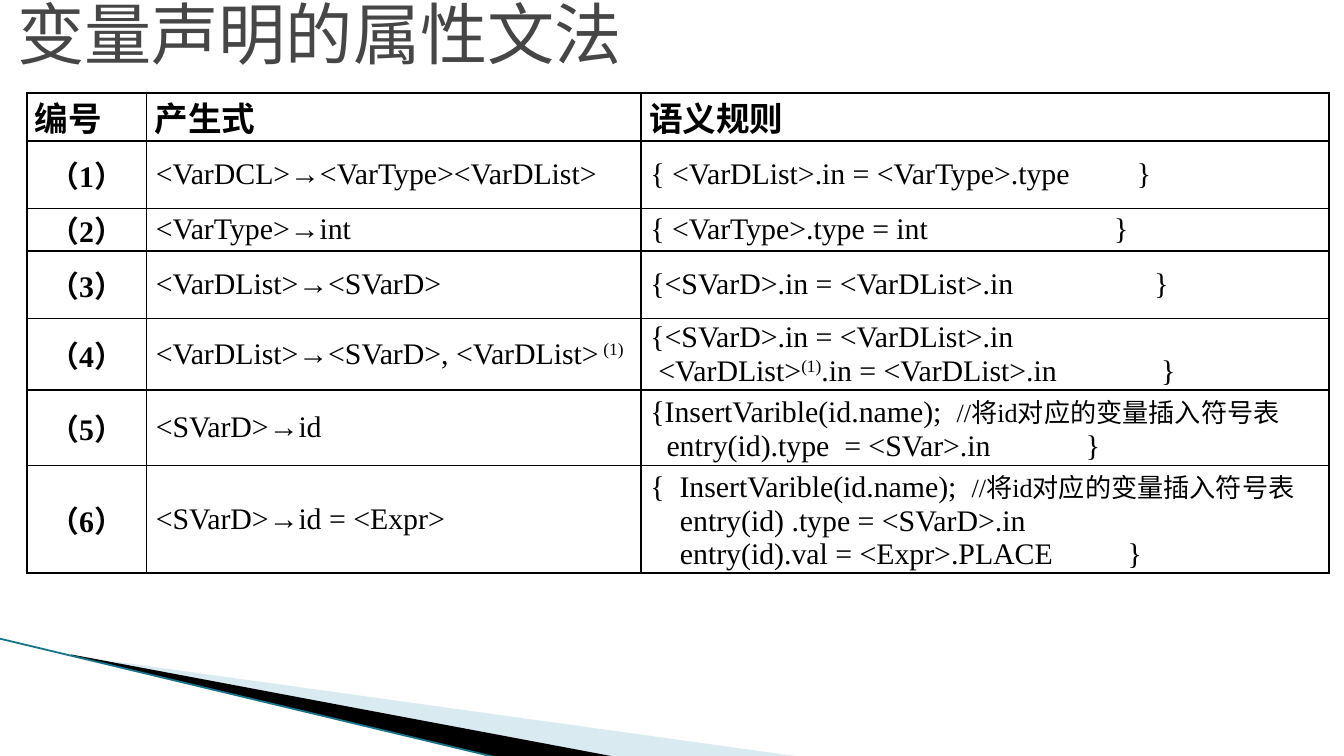
from dataclasses import dataclass

from lxml import etree
from pptx import Presentation
from pptx.dml.color import RGBColor
from pptx.enum.shapes import MSO_CONNECTOR
from pptx.enum.text import MSO_ANCHOR, PP_ALIGN
from pptx.oxml.ns import qn
from pptx.util import Inches, Pt

STRAIGHT = MSO_CONNECTOR.STRAIGHT
TOP, MIDDLE = MSO_ANCHOR.TOP, MSO_ANCHOR.MIDDLE
CENTER, JUSTIFY = PP_ALIGN.CENTER, PP_ALIGN.JUSTIFY


@dataclass(frozen=True)
class Theme:
    title_color: str = "464646"
    ink: str = "000000"
    wedge: str = "A0CBDC"
    accent: str = "17748A"
    chinese_font: str = "Noto Sans CJK SC"
    latin_font: str = "Times New Roman"
    title_size: int = 36
    header_size: int = 18
    body_size: int = 16
    note_size: int = 14


THEME = Theme()
SLIDE_WIDTH = Inches(10)
SLIDE_HEIGHT = SLIDE_WIDTH * 9 // 16
NOTE = "//将id对应的变量插入符号表"
HEADERS = ["编号", "产生式", "语义规则"]
COLUMN_WIDTHS = [0.89, 3.68, 5.12]
ROW_HEIGHTS = [0.36, 0.5, 0.32, 0.5, 0.5, 0.56, 0.78]


def plain(text):
    return text, {}


def superscript(text):
    return text, {"baseline": 30000}


def note(text):
    return text, {"size": THEME.note_size}


def line(*runs, indent=0, brace=None):
    return {"runs": runs, "indent": indent, "brace": brace}


RULES = [
    (line(plain("<VarDCL>→<VarType><VarDList>")),
     [line(plain("{ <VarDList>.in = <VarType>.type"), brace=3.62)]),
    (line(plain("<VarType>→int")),
     [line(plain("{ <VarType>.type = int"), brace=3.45)]),
    (line(plain("<VarDList>→<SVarD>")),
     [line(plain("{<SVarD>.in = <VarDList>.in"), brace=3.75)]),
    (line(plain("<VarDList>→<SVarD>, <VarDList>"), superscript(" (1)")),
     [line(plain("{<SVarD>.in = <VarDList>.in")),
      line(plain("<VarDList>"), superscript("(1)"), plain(".in = <VarDList>.in"),
           indent=0.06, brace=3.8)]),
    (line(plain("<SVarD>→id")),
     [line(plain("{InsertVarible(id.name);  "), note(NOTE)),
      line(plain("entry(id).type  = <SVar>.in"), indent=0.12, brace=3.24)]),
    (line(plain("<SVarD>→id = <Expr>")),
     [line(plain("{  InsertVarible(id.name);  "), note(NOTE)),
      line(plain("entry(id) .type = <SVarD>.in"), indent=0.22),
      line(plain("entry(id).val = <Expr>.PLACE"), indent=0.22, brace=3.55)]),
]


def set_values(target, values):
    for name, value in values.items():
        setattr(target, name, value)


def add_run(paragraph, text, size, font, color, bold=False, baseline=None):
    run = paragraph.add_run()
    run.text = text
    run.font.color.rgb = RGBColor.from_string(color)
    set_values(run.font, {"name": font, "size": Pt(size), "bold": bold})
    properties = run._r.get_or_add_rPr()
    etree.SubElement(properties, qn("a:ea"), typeface=THEME.chinese_font)
    if baseline:
        properties.set("baseline", str(baseline))


def add_tab_stop(paragraph, position):
    tabs = etree.SubElement(paragraph._p.get_or_add_pPr(), qn("a:tabLst"))
    etree.SubElement(tabs, qn("a:tab"), pos=str(Inches(position)), algn="l")


def format_cell(cell, anchor, margin):
    set_values(cell, {
        "vertical_anchor": anchor,
        "margin_left": Inches(margin), "margin_right": Inches(margin),
        "margin_top": 0, "margin_bottom": 0,
    })
    properties = cell._tc.get_or_add_tcPr()
    for side in ("lnL", "lnR", "lnT", "lnB"):
        border = etree.SubElement(properties, qn(f"a:{side}"), w=str(Pt(1)))
        fill = etree.SubElement(border, qn("a:solidFill"))
        etree.SubElement(fill, qn("a:srgbClr"), val=THEME.ink)
    cell.fill.background()


def fill_cell(cell, lines, alignment=JUSTIFY, anchor=MIDDLE, margin=0.07, **run_format):
    format_cell(cell, anchor, margin)
    base = {"size": THEME.body_size, "font": THEME.latin_font, "color": THEME.ink}
    base.update(run_format)
    frame = cell.text_frame
    for index, content in enumerate(lines):
        paragraph = frame.add_paragraph() if index else frame.paragraphs[0]
        paragraph.alignment = alignment
        indent = content["indent"]
        if indent:
            paragraph._p.get_or_add_pPr().set("marL", str(Inches(indent)))
        for text, changes in content["runs"]:
            add_run(paragraph, text, **{**base, **changes})
        if content["brace"]:
            add_tab_stop(paragraph, content["brace"] - indent)
            add_run(paragraph, "\t}", **base)


def add_wedge(slide, left, top, points, color, opacity=None):
    start, *others = [(Inches(left + x), Inches(top + y)) for x, y in points]
    builder = slide.shapes.build_freeform(*start)
    builder.add_line_segments(others, close=True)
    shape = builder.convert_to_shape()
    shape.shadow.inherit = False
    shape.line.fill.background()
    shape.fill.solid()
    shape.fill.fore_color.rgb = RGBColor.from_string(color)
    if opacity:
        color_element = shape._element.spPr.find(f".//{qn('a:srgbClr')}")
        etree.SubElement(color_element, qn("a:alpha"), val=str(opacity * 1000))


def add_corner_decoration(slide, left, top):
    add_wedge(slide, left, top, [(0.56, 0.13), (5.96, 0.88), (4.57, 0.88)],
              THEME.wedge, opacity=40)
    add_wedge(slide, left, top, [(0.54, 0.12), (4.58, 0.88), (3.73, 0.89), (0.55, 0.13)],
              THEME.ink)
    edge = slide.shapes.add_connector(
        STRAIGHT, Inches(left), Inches(top), Inches(left + 3.72), Inches(top + 0.89))
    edge.line.color.rgb = RGBColor.from_string(THEME.accent)
    edge.line.width = Pt(0.95)
    etree.SubElement(edge._element.spPr, qn("a:effectLst"))


def add_title(slide, left, top, width, height):
    box = slide.shapes.add_textbox(*map(Inches, (left, top, width, height)))
    set_values(box.text_frame, {"word_wrap": True, "vertical_anchor": MIDDLE})
    add_run(box.text_frame.paragraphs[0], "变量声明的属性文法",
            THEME.title_size, THEME.chinese_font, THEME.title_color)


def add_grammar_table(slide, left, top):
    frame = slide.shapes.add_table(
        len(ROW_HEIGHTS), len(COLUMN_WIDTHS), Inches(left), Inches(top),
        Inches(sum(COLUMN_WIDTHS)), Inches(sum(ROW_HEIGHTS)))
    table = frame.table
    set_values(table, {"first_row": False, "horz_banding": False})
    for column, width in zip(table.columns, COLUMN_WIDTHS):
        column.width = Inches(width)
    for row, height in zip(table.rows, ROW_HEIGHTS):
        row.height = Inches(height)
    for column, header in enumerate(HEADERS):
        fill_cell(table.cell(0, column), [line(plain(header))], anchor=TOP, margin=0.06,
                  size=THEME.header_size, font=THEME.chinese_font, bold=True)
    for number, (production, semantics) in enumerate(RULES, start=1):
        fill_cell(table.cell(number, 0), [line(plain(f"（{number}）"))],
                  alignment=CENTER, bold=True)
        fill_cell(table.cell(number, 1), [production])
        fill_cell(table.cell(number, 2), semantics)


def main():
    presentation = Presentation()
    set_values(presentation, {"slide_width": SLIDE_WIDTH, "slide_height": SLIDE_HEIGHT})
    slide = presentation.slides.add_slide(presentation.slide_layouts[6])
    add_corner_decoration(slide, -0.01, 4.75)
    add_title(slide, 0.03, -0.02, 9, 0.52)
    add_grammar_table(slide, 0.2, 0.69)
    presentation.save("out.pptx")


if __name__ == "__main__":
    main()
